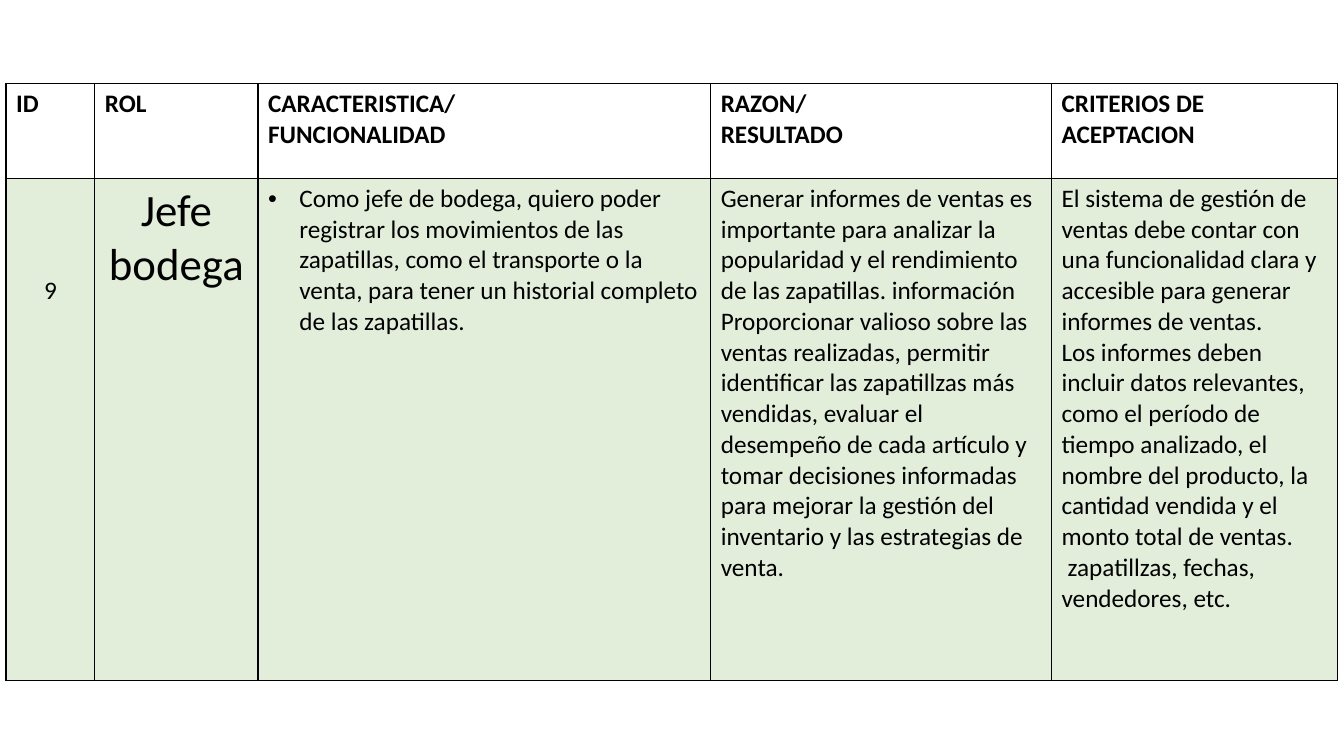
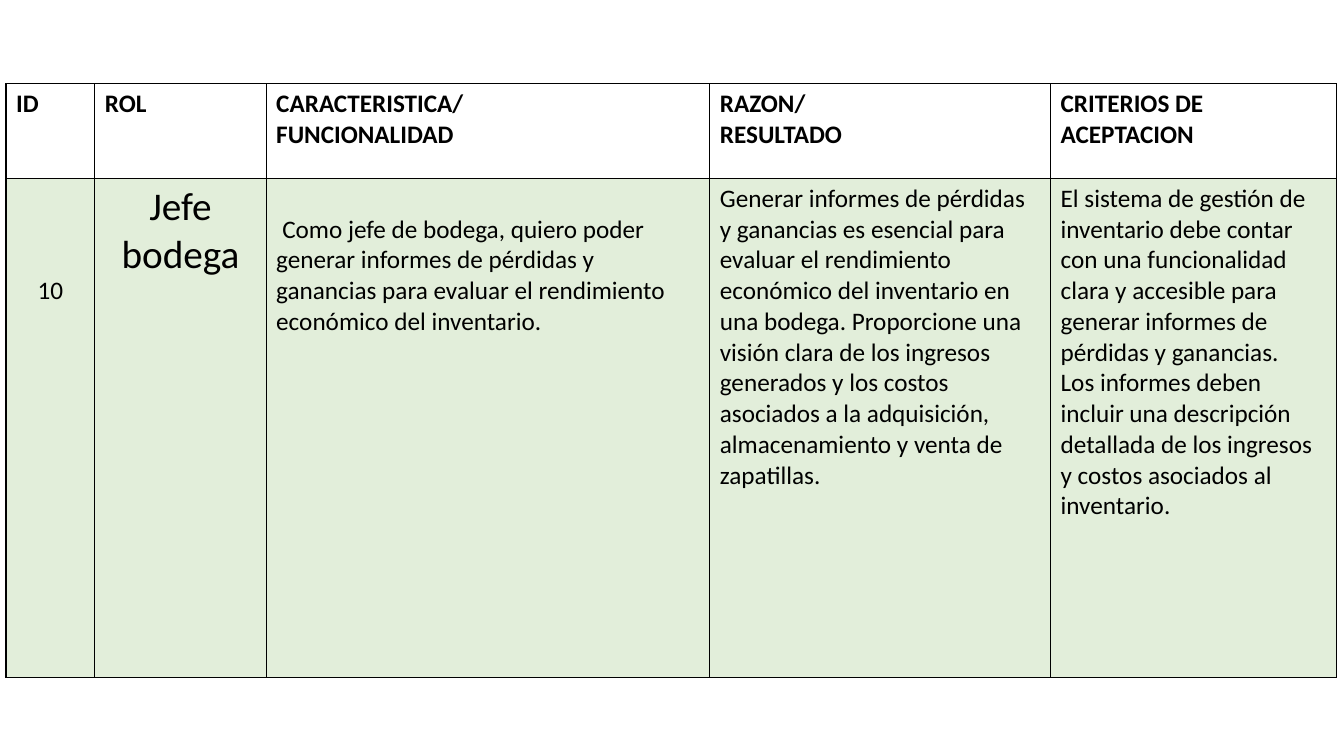
from dataclasses import dataclass

from lxml import etree
from pptx import Presentation
from pptx import util as u
from pptx.dml import color
from pptx.enum import text
from pptx.oxml import ns

COLORS = {"text": "000000", "border": "000000", "story": "70AD47"}
FONT = "Calibri"
BODY_SIZE = 18
LINE_HEIGHT = 0.305
CELL_MARGIN = 0.05
STORY_OPACITY = 20
TABLE_LEFT, TABLE_TOP = 0.06, 0.83
HEADER_HEIGHT = 0.94
HANGING_INDENT = 0.31
NUDGE = 0.06


@dataclass(frozen=True)
class Entry:
    """Content of one table cell; skipped_lines lowers its first line."""
    paragraphs: tuple[str, ...]
    size: int = BODY_SIZE
    bold: bool = False
    centered: bool = False
    bulleted: bool = False
    skipped_lines: int = 0
    nudged: int | None = None  # index of the paragraph with a small first-line indent


@dataclass(frozen=True)
class Story:
    number: str
    role_size: int
    feature: Entry
    reason: str
    criteria: Entry
    widths: tuple[float, ...]
    height: float

    def entries(self) -> tuple[Entry, ...]:
        return (
            Entry((self.number,), centered=True, skipped_lines=3),
            Entry(("Jefe", "bodega"), size=self.role_size, centered=True),
            self.feature,
            Entry((self.reason,)),
            self.criteria,
        )


HEADERS = tuple(
    Entry(lines, bold=True)
    for lines in (
        ("ID",),
        ("ROL",),
        ("CARACTERISTICA/", "FUNCIONALIDAD"),
        ("RAZON/", "RESULTADO"),
        ("CRITERIOS DE ACEPTACION",),
    )
)

STORIES = (
    Story(
        number="9",
        role_size=32,
        feature=Entry(
            ("Como jefe de bodega, quiero poder registrar los movimientos de las "
             "zapatillas, como el transporte o la venta, para tener un historial "
             "completo de las zapatillas.",),
            bulleted=True,
        ),
        reason="Generar informes de ventas es importante para analizar la popularidad "
               "y el rendimiento de las zapatillas. información Proporcionar valioso "
               "sobre las ventas realizadas, permitir identificar las zapatillzas más "
               "vendidas, evaluar el desempeño de cada artículo y tomar decisiones "
               "informadas para mejorar la gestión del inventario y las estrategias "
               "de venta.",
        criteria=Entry(
            ("El sistema de gestión de ventas debe contar con una funcionalidad clara "
             "y accesible para generar informes de ventas.",
             "Los informes deben incluir datos relevantes, como el período de tiempo "
             "analizado, el nombre del producto, la cantidad vendida y el monto total "
             "de ventas.",
             "zapatillzas, fechas, vendedores, etc."),
            nudged=2,
        ),
        widths=(0.88, 1.62, 4.49, 3.38, 2.84),
        height=4.98,
    ),
    Story(
        number="10",
        role_size=28,
        feature=Entry(
            ("Como jefe de bodega, quiero poder generar informes de pérdidas y "
             "ganancias para evaluar el rendimiento económico del inventario.",),
            skipped_lines=1,
            nudged=0,
        ),
        reason="Generar informes de pérdidas y ganancias es esencial para evaluar el "
               "rendimiento económico del inventario en una bodega. Proporcione una "
               "visión clara de los ingresos generados y los costos asociados a la "
               "adquisición, almacenamiento y venta de zapatillas.",
        criteria=Entry(
            ("El sistema de gestión de inventario debe contar con una funcionalidad "
             "clara y accesible para generar informes de pérdidas y ganancias.",
             "Los informes deben incluir una descripción detallada de los ingresos y "
             "costos asociados al inventario."),
        ),
        widths=(0.88, 1.7, 4.4, 3.38, 2.84),
        height=4.95,
    ),
)


def rgb(name: str) -> color.RGBColor:
    return color.RGBColor.from_string(COLORS[name])


def indent_first_line(paragraph, left: float, first: float) -> None:
    properties = paragraph._p.get_or_add_pPr()
    properties.set("marL", str(u.Inches(left)))
    properties.set("indent", str(u.Inches(first)))


def add_bullet(paragraph) -> None:
    indent_first_line(paragraph, HANGING_INDENT, -HANGING_INDENT)
    properties = paragraph._p.get_or_add_pPr()
    etree.SubElement(properties, ns.qn("a:buFont"), typeface="Arial")
    etree.SubElement(properties, ns.qn("a:buChar"), char="•")


def fill_story(cell) -> None:
    """Tint a cell with the translucent story colour."""
    cell.fill.solid()
    cell.fill.fore_color.rgb = rgb("story")
    tint = cell._tc.tcPr.find(".//" + ns.qn("a:srgbClr"))
    etree.SubElement(tint, ns.qn("a:alpha"), val=str(STORY_OPACITY * 1000))


def add_borders(cell) -> None:
    properties = cell._tc.get_or_add_tcPr()
    for position, side in enumerate(("lnL", "lnR", "lnT", "lnB")):
        line = etree.Element(ns.qn("a:" + side), w=str(u.Pt(1)))
        fill = etree.SubElement(line, ns.qn("a:solidFill"))
        etree.SubElement(fill, ns.qn("a:srgbClr"), val=COLORS["border"])
        properties.insert(position, line)


def write_entry(cell, entry: Entry) -> None:
    cell.margin_top = u.Inches(CELL_MARGIN + entry.skipped_lines * LINE_HEIGHT)
    frame = cell.text_frame
    for index, wording in enumerate(entry.paragraphs):
        paragraph = frame.add_paragraph() if index else frame.paragraphs[0]
        paragraph.alignment = (
            text.PP_ALIGN.CENTER if entry.centered else text.PP_ALIGN.LEFT
        )
        if entry.bulleted:
            add_bullet(paragraph)
        elif index == entry.nudged:
            indent_first_line(paragraph, 0, NUDGE)
        run = paragraph.add_run()
        run.text = wording
        run.font.name = FONT
        run.font.size = u.Pt(entry.size)
        run.font.bold = entry.bold
        run.font.color.rgb = rgb("text")


def add_story_slide(deck, story: Story) -> None:
    slide = deck.slides.add_slide(deck.slide_layouts[6])
    rows = (HEADERS, story.entries())
    heights = (HEADER_HEIGHT, story.height)
    table = slide.shapes.add_table(
        len(rows), len(HEADERS),
        u.Inches(TABLE_LEFT), u.Inches(TABLE_TOP),
        u.Inches(sum(story.widths)), u.Inches(sum(heights)),
    ).table
    table.first_row = False
    table.horz_banding = False
    for column, width in zip(table.columns, story.widths):
        column.width = u.Inches(width)
    for row, height, entries in zip(table.rows, heights, rows):
        row.height = u.Inches(height)
        for cell, entry in zip(row.cells, entries):
            write_entry(cell, entry)
            if entries is HEADERS:
                cell.fill.background()
            else:
                fill_story(cell)
            add_borders(cell)


def main() -> None:
    deck = Presentation()
    deck.slide_width, deck.slide_height = u.Inches(13.33), u.Inches(7.5)
    for story in STORIES:
        add_story_slide(deck, story)
    deck.save("out.pptx")


if __name__ == "__main__":
    main()
